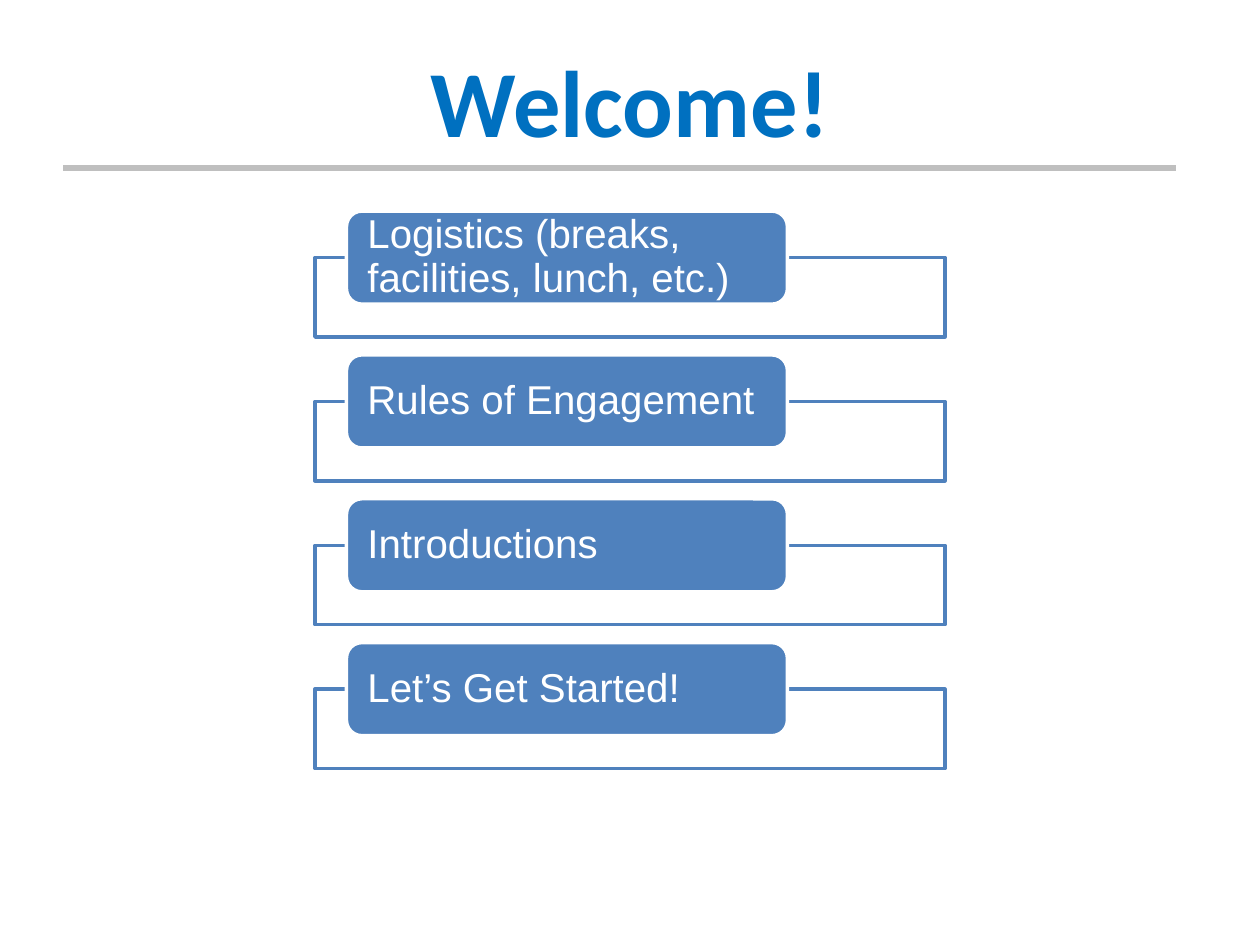
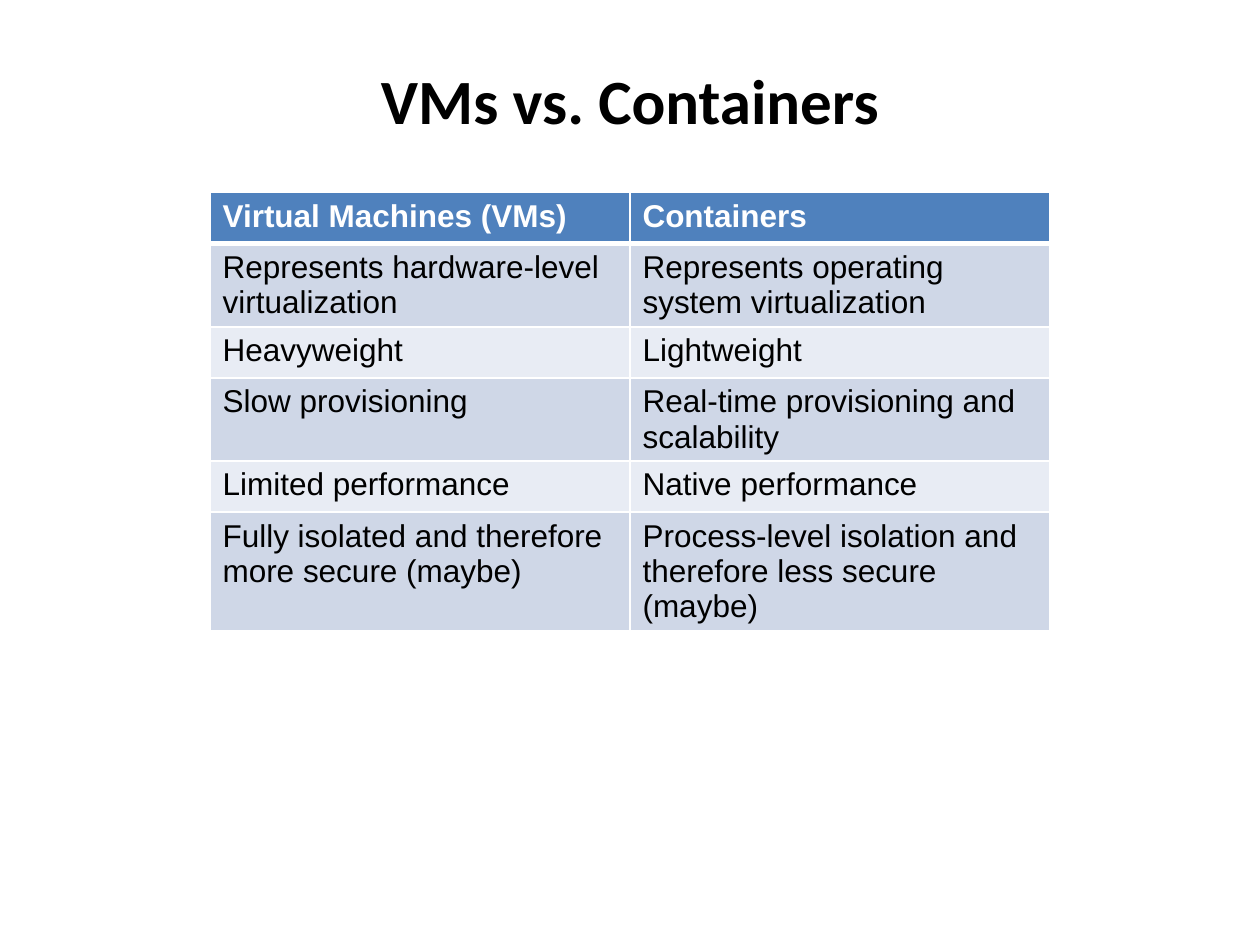
from dataclasses import dataclass

from lxml import etree
from pptx import Presentation
from pptx.dml.color import RGBColor
from pptx.enum.shapes import MSO_CONNECTOR, MSO_SHAPE
from pptx.enum.text import MSO_ANCHOR, MSO_AUTO_SIZE, PP_ALIGN
from pptx.oxml.ns import qn
from pptx.util import Pt

STRAIGHT = MSO_CONNECTOR.STRAIGHT
RECTANGLE, ROUNDED = MSO_SHAPE.RECTANGLE, MSO_SHAPE.ROUNDED_RECTANGLE
MIDDLE = MSO_ANCHOR.MIDDLE
NO_AUTOFIT = MSO_AUTO_SIZE.NONE
LEFT, CENTER = PP_ALIGN.LEFT, PP_ALIGN.CENTER
TITLE_ONLY = 5


@dataclass(frozen=True)
class Theme:
    accent: str = "4F81BD"
    welcome: str = "0070C0"
    rule: str = "BFBFBF"
    dark: str = "000000"
    light: str = "FFFFFF"
    bands: tuple = ("CFD7E7", "E8ECF4")
    heading_font: str = "Calibri"
    body_font: str = "Arial"
    welcome_size: float = 54
    title_size: float = 36
    agenda_size: float = 23
    table_size: float = 18


THEME = Theme()

AGENDA = [
    "Logistics (breaks, facilities, lunch, etc.)",
    "Rules of Engagement",
    "Introductions",
    "Let’s Get Started!",
]
COMPARISON = [
    ("Virtual Machines (VMs)", "Containers"),
    ("Represents hardware-level virtualization",
     "Represents operating system virtualization"),
    ("Heavyweight", "Lightweight"),
    ("Slow provisioning", "Real-time provisioning and scalability"),
    ("Limited performance", "Native performance"),
    ("Fully isolated and therefore more secure (maybe)",
     "Process-level isolation and therefore less secure (maybe)"),
]


def rgb(color):
    return RGBColor.from_string(color)


def write_text(frame, text, *, size, color, font=THEME.body_font, bold=False,
               align=LEFT, spacing=None):
    para = frame.paragraphs[0]
    para.alignment = align
    if spacing:
        para.line_spacing = spacing
    span = para.add_run()
    span.text = text
    span.font.name = font
    span.font.size = Pt(size)
    span.font.bold = bold
    span.font.color.rgb = rgb(color)


def set_margins(frame, side, edge):
    frame.margin_left = frame.margin_right = Pt(side)
    frame.margin_top = frame.margin_bottom = Pt(edge)


def add_titled_page(deck, text, *, size, color):
    page = deck.slides.add_slide(deck.slide_layouts[TITLE_ONLY])
    title = page.shapes.title
    title.left, title.top = Pt(36), Pt(12)
    title.width, title.height = Pt(648), Pt(90)
    frame = title.text_frame
    frame.word_wrap = True
    frame.auto_size = NO_AUTOFIT
    frame.vertical_anchor = MIDDLE
    set_margins(frame, 7.2, 3.6)
    write_text(frame, text, size=size, color=color,
               font=THEME.heading_font, bold=True, align=CENTER)
    return page


def add_box(page, kind, left, top, width, height, *, fill, line):
    box = page.shapes.add_shape(kind, Pt(left), Pt(top), Pt(width), Pt(height))
    box.shadow.inherit = False
    box.fill.solid()
    box.fill.fore_color.rgb = rgb(fill)
    box.line.color.rgb = rgb(line)
    box.line.width = Pt(2)
    return box


def add_agenda_item(page, text, top):
    """Draw a label whose middle lies on the top edge of an open frame."""
    label_height = 53.2
    add_box(page, RECTANGLE, 180, top + label_height / 2, 360, 45.4,
            fill=THEME.light, line=THEME.accent)
    label = add_box(page, ROUNDED, 198, top, 252, label_height,
                    fill=THEME.accent, line=THEME.light)
    frame = label.text_frame
    frame.word_wrap = True
    frame.vertical_anchor = MIDDLE
    set_margins(frame, 9.4, 0)
    write_text(frame, text, size=THEME.agenda_size, color=THEME.light, spacing=0.9)


def add_rule(page, left, right, y):
    rule = page.shapes.add_connector(STRAIGHT, Pt(left), Pt(y), Pt(right), Pt(y))
    rule.line.color.rgb = rgb(THEME.rule)
    rule.line.width = Pt(3)
    etree.SubElement(rule._element.spPr, qn("a:effectLst"))


def set_borders(cell, **widths):
    """Draw light borders; widths are in points, keyed by L, R, T and B."""
    properties = cell._tc.get_or_add_tcPr()
    for side, width in widths.items():
        border = etree.SubElement(properties, qn(f"a:ln{side}"), w=str(Pt(width)))
        fill = etree.SubElement(border, qn("a:solidFill"))
        etree.SubElement(fill, qn("a:srgbClr"), val=THEME.light)


def add_comparison_table(page, rows, left, top, width, row_height):
    columns = len(rows[0])
    table = page.shapes.add_table(len(rows), columns, Pt(left), Pt(top),
                                  Pt(width), Pt(row_height * len(rows))).table
    for row_index, texts in enumerate(rows):
        header = row_index == 0
        fill = THEME.accent if header else THEME.bands[(row_index - 1) % 2]
        for column_index, text in enumerate(texts):
            cell = table.cell(row_index, column_index)
            set_borders(cell, L=1, R=1, T=3 if row_index == 1 else 1,
                        B=3 if header else 1)
            cell.fill.solid()
            cell.fill.fore_color.rgb = rgb(fill)
            set_margins(cell, 7.2, 3.6)
            write_text(cell.text_frame, text, size=THEME.table_size, bold=header,
                       color=THEME.light if header else THEME.dark)


def build_welcome(deck):
    page = add_titled_page(deck, "Welcome!", size=THEME.welcome_size,
                           color=THEME.welcome)
    for index, text in enumerate(AGENDA):
        add_agenda_item(page, text, 120.6 + 82.2 * index)
    add_rule(page, 36, 672, 96)


def build_comparison(deck):
    page = add_titled_page(deck, "VMs vs. Containers", size=THEME.title_size,
                           color=THEME.dark)
    add_comparison_table(page, COMPARISON, 120, 110, 480, 29.2)


def main():
    deck = Presentation()
    deck.slide_width, deck.slide_height = Pt(720), Pt(540)
    build_welcome(deck)
    build_comparison(deck)
    deck.save("out.pptx")


if __name__ == "__main__":
    main()
